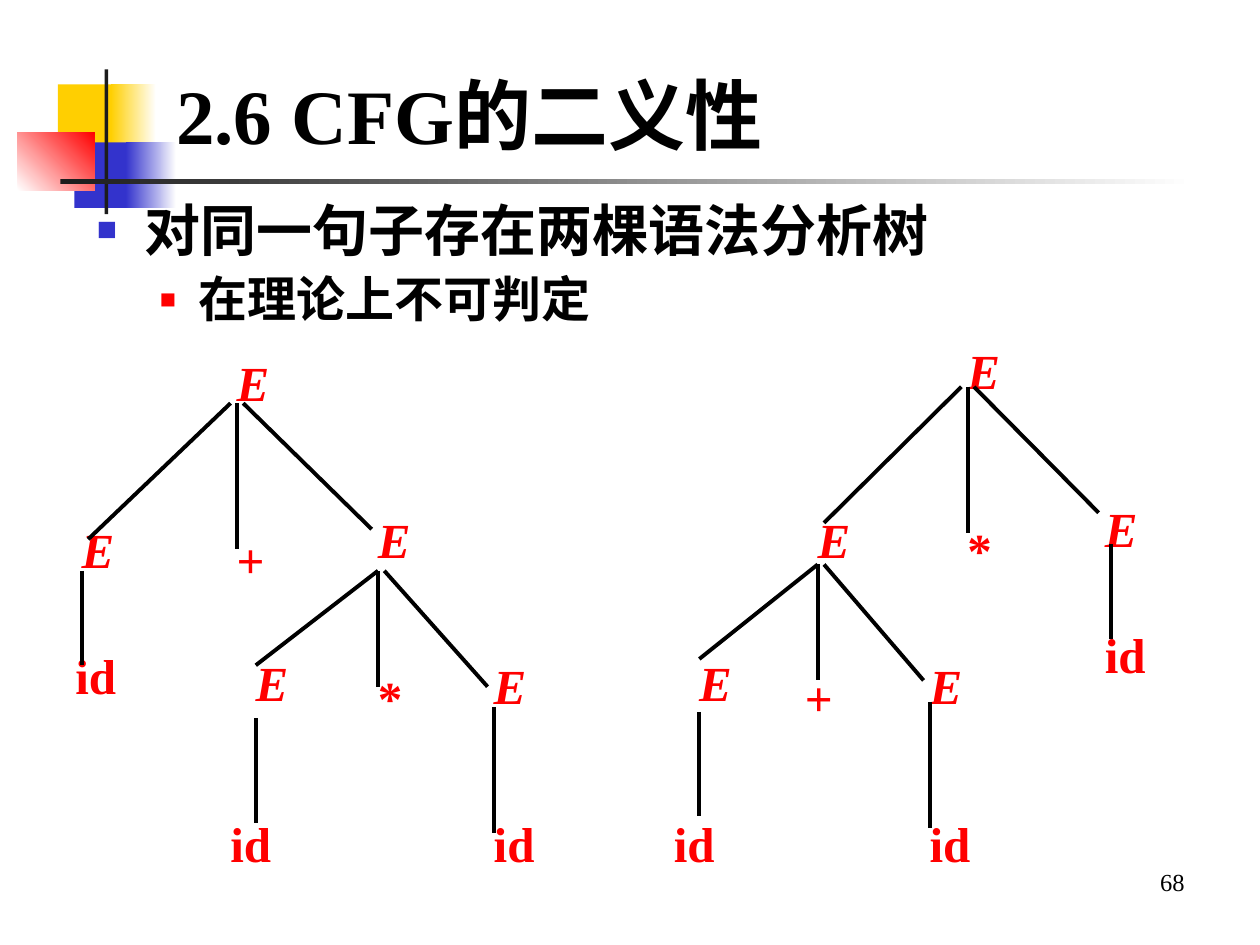
from lxml import etree
from pptx import Presentation
from pptx import util as u
from pptx.dml.color import RGBColor
from pptx.enum import shapes, text
from pptx.oxml.ns import qn

BLACK, RED, BLUE, GOLD, DARK, WHITE = "000000", "FF0000", "3333CC", "FFCF01", "1C1C1C", "FFFFFF"


def rgb(value):
    return RGBColor.from_string(value)


class Deck:
    """Holds the style and the current slide, and draws each kind of element."""

    font = "Times New Roman"
    line_width = 2.25

    def __init__(self, width, height):
        self.prs = Presentation()
        self.prs.slide_width, self.prs.slide_height = u.Inches(width), u.Inches(height)
        self.s = self.prs.slides.add_slide(self.prs.slide_layouts[6])

    def rect(self, box, color, end=None, angle=0):
        sp = self.s.shapes.add_shape(shapes.MSO_SHAPE.RECTANGLE, *map(u.Inches, box))
        sp.shadow.inherit = False
        sp.line.fill.background()
        if end is None:
            sp.fill.solid()
            sp.fill.fore_color.rgb = rgb(color)
            return
        sp.fill.gradient()
        sp.fill.gradient_angle = angle
        for stop, value in zip(sp.fill.gradient_stops, (color, end)):
            stop.color.rgb = rgb(value)

    def box(self, box, anchor=text.MSO_ANCHOR.TOP):
        tf = self.s.shapes.add_textbox(*map(u.Inches, box)).text_frame
        tf.word_wrap = True
        tf.vertical_anchor = anchor
        return tf

    def run(self, p, words, size, color=BLACK, bold=True, italic=False):
        r = p.add_run()
        r.text = words
        r.font.name, r.font.size = self.font, u.Pt(size)
        r.font.bold, r.font.italic = bold, italic
        r.font.color.rgb = rgb(color)

    def bullet(self, p, color, percent, left, hanging):
        pPr = p._p.get_or_add_pPr()
        pPr.set("marL", str(u.Inches(left)))
        pPr.set("indent", str(-u.Inches(hanging)))
        clr = etree.SubElement(pPr, qn("a:buClr"))
        etree.SubElement(clr, qn("a:srgbClr"), val=color)
        etree.SubElement(pPr, qn("a:buSzPct"), val=str(percent * 1000))
        etree.SubElement(pPr, qn("a:buFont"), typeface=self.font)
        etree.SubElement(pPr, qn("a:buChar"), char="■")

    def node(self, label, left, top):
        p = self.box((left, top, 0.75, 0.61)).paragraphs[0]
        p.line_spacing = 1.1
        self.run(p, label, 28, RED, italic=label == "E")

    def edge(self, *ends):
        cx = self.s.shapes.add_connector(shapes.MSO_CONNECTOR.STRAIGHT, *map(u.Inches, ends))
        cx.line.width = u.Pt(self.line_width)
        cx.line.color.rgb = rgb(BLACK)
        etree.SubElement(cx._element.spPr, qn("a:effectLst"))

    def tree(self, nodes, edges):
        for node in nodes:
            self.node(*node)
        for ends in edges:
            self.edge(*ends)


def main():
    deck = Deck(10, 7.5)

    deck.rect((0.46, 0.67, 0.48, 0.52), GOLD)
    deck.rect((0.88, 0.67, 0.36, 0.52), GOLD, WHITE)
    deck.rect((0.59, 1.13, 0.46, 0.52), BLUE)
    deck.rect((1, 1.13, 0.4, 0.52), BLUE, WHITE)
    deck.rect((0.14, 1.05, 0.61, 0.46), WHITE, RED, 45)
    deck.rect((0.83, 0.55, 0.03, 1.15), DARK)
    deck.rect((0.48, 1.42, 9, 0.04), DARK, WHITE)

    number = deck.box((7.17, 6.83, 2.33, 0.52)).paragraphs[0]
    number.alignment = text.PP_ALIGN.RIGHT
    deck.run(number, "68", 14, bold=False)

    title = deck.box((1.3, 0.28, 8.5, 1.25), text.MSO_ANCHOR.MIDDLE)
    deck.run(title.paragraphs[0], "2.6 CFG的二义性", 44)

    body = deck.box((0.67, 1.56, 8.83, 1.17))
    points = [
        ("对同一句子存在两棵语法分析树", 32, 0, (BLUE, 60, 0.38, 0.38)),
        ("在理论上不可判定", 28, 7, (RED, 55, 0.81, 0.31)),
    ]
    for level, (words, size, before, style) in enumerate(points):
        p = body.add_paragraph() if level else body.paragraphs[0]
        deck.bullet(p, *style)
        p.level = level
        p.alignment = text.PP_ALIGN.JUSTIFY
        p.line_spacing = 0.9
        p.space_before = u.Pt(before)
        deck.run(p, words, size)

    sum_tree = (
        [("E", 1.78, 2.7), ("E", 0.55, 4.03), ("+", 1.78, 4.11), ("E", 2.9, 3.95),
         ("id", 0.5, 5.03), ("E", 1.93, 5.08), ("*", 2.9, 5.2), ("E", 3.82, 5.11),
         ("id", 1.73, 6.36), ("id", 3.82, 6.36)],
        [(1.83, 3.2, 0.7, 4.28), (1.88, 3.2, 1.88, 4.36), (1.93, 3.2, 2.95, 4.2),
         (0.65, 4.53, 0.65, 5.28), (3, 4.53, 2.03, 5.28), (3, 4.53, 3, 5.45),
         (3.05, 4.53, 3.87, 5.45), (2.03, 5.7, 2.03, 6.53), (3.92, 5.61, 3.92, 6.61)],
    )
    product_tree = (
        [("E", 7.58, 2.61), ("E", 6.39, 3.95), ("*", 7.58, 4.03), ("E", 8.67, 3.86),
         ("id", 8.67, 4.86), ("E", 5.45, 5.08), ("+", 6.29, 5.2), ("E", 7.28, 5.11),
         ("id", 5.25, 6.36), ("id", 7.28, 6.36)],
        [(7.63, 3.07, 6.54, 4.15), (7.68, 3.07, 7.68, 4.23), (7.73, 3.07, 8.72, 4.07),
         (8.82, 4.32, 8.82, 5.07), (6.49, 4.48, 5.55, 5.23), (6.49, 4.48, 6.49, 5.4),
         (6.54, 4.48, 7.33, 5.4), (5.55, 5.65, 5.55, 6.48), (7.38, 5.57, 7.38, 6.57)],
    )
    for nodes, edges in (product_tree, sum_tree):
        deck.tree(nodes, edges)

    deck.prs.save("out.pptx")


if __name__ == "__main__":
    main()
